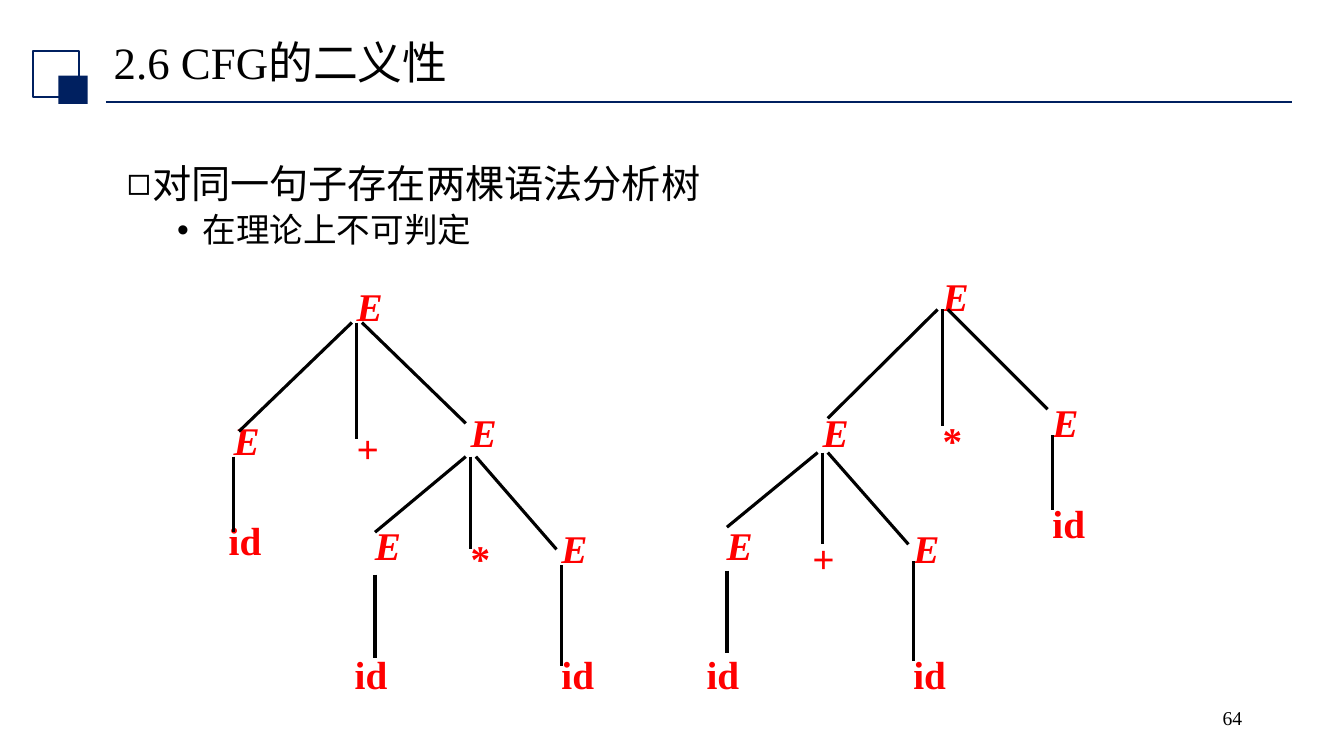
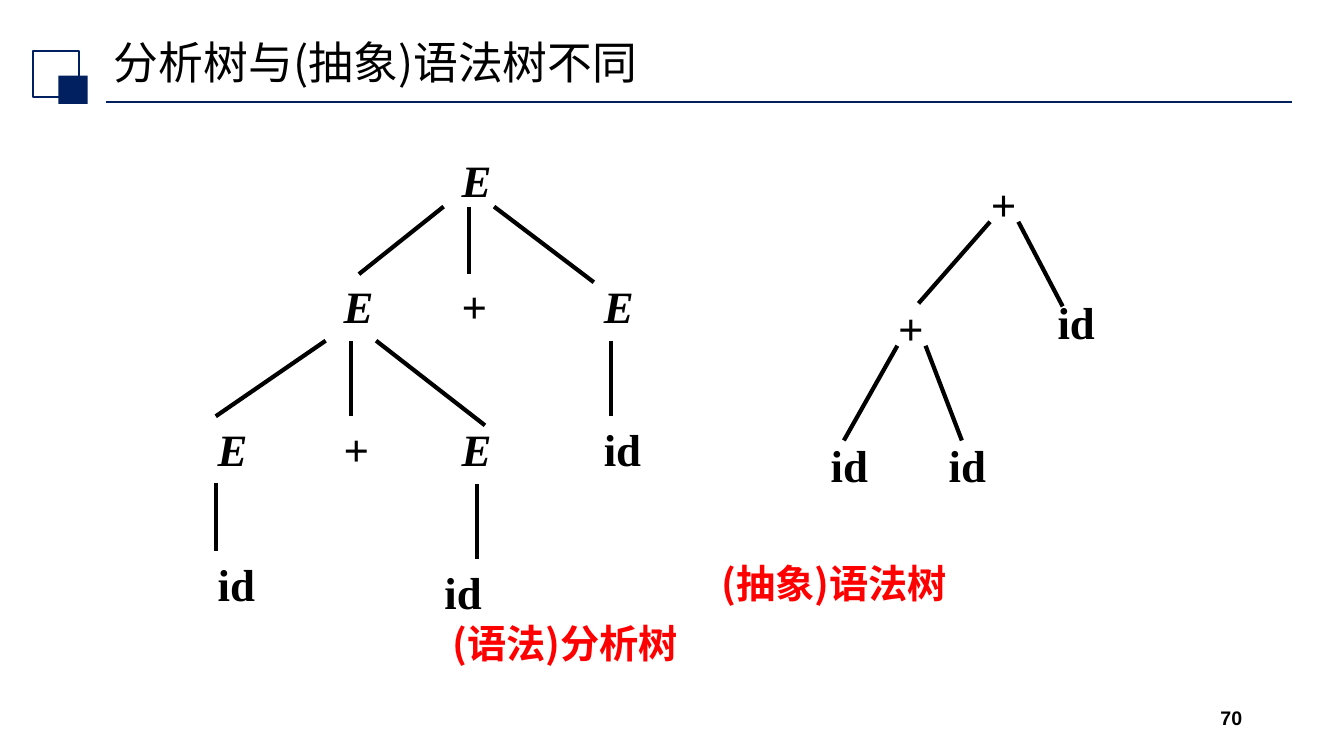
import pptx
import pptx.util
import pptx.dml.color
import pptx.enum.shapes
import pptx.enum.text
import pptx.oxml.ns
from lxml import etree

Inches, Pt = pptx.util.Inches, pptx.util.Pt
qn = pptx.oxml.ns.qn
ALIGN = pptx.enum.text.PP_ALIGN
ANCHOR = pptx.enum.text.MSO_ANCHOR
SHAPE = pptx.enum.shapes.MSO_SHAPE
STRAIGHT = pptx.enum.shapes.MSO_CONNECTOR.STRAIGHT

COLORS = {"navy": "002060", "red": "FF0000", "black": "000000"}
SERIF, SANS, HAN = "Times New Roman", "Arial", "Noto Sans CJK SC"


def node(text, dx, dy, *kids, shift=0, into=0, out=0):
    """Place a node from its parent; shift, into and out adjust its lines."""
    return {"text": text, "dx": dx, "dy": dy, "kids": kids,
            "shift": shift, "into": into, "out": out}


def product(sign, dx, slip=0):
    """Build the lower E with two operands, used by both readings."""
    return node("E", dx, 1.25,
                node("E", -0.95, 1.13, node("id", -0.2, 1.28, into=-0.08),
                     shift=-0.05, into=-0.05, out=0.12),
                node(sign, slip, 1.25),
                node("E", 0.9, 1.16, node("id", 0, 1.25), into=0.09),
                out=0.08)


PLUS_TOP = node("E", 3.44, 2.7,
                node("E", -1.22, 1.33, node("id", -0.05, 1)),
                node("+", 0, 1.41),
                product("*", 1.13))
TIMES_TOP = node("E", 9.25, 2.61,
                 {**product("+", -1.19, -0.1), "dy": 1.34},
                 node("*", 0, 1.42),
                 node("E", 1.09, 1.25, node("id", 0, 1)))
PARSE = node("E", 4.48, 1.47,
             node("E", -1.17, 1.25,
                  node("E", -1.25, 1.41, node("id", 0, 1.34, shift=-0.09),
                       shift=-0.09),
                  node("+", 0, 1.41),
                  node("E", 1.17, 1.41, node("id", -0.17, 1.42, shift=0.08),
                       shift=0.16, into=0.09),
                  shift=0.08),
             node("+", 0, 1.25),
             node("E", 1.41, 1.25, node("id", 0, 1.41),
                  shift=-0.17, into=0.08),
             out=-0.08)
SYNTAX = node("+", 9.73, 1.7,
              node("+", -0.92, 1.23,
                   node("id", -0.67, 1.36), node("id", 0.5, 1.36),
                   shift=0.07),
              node("id", 0.66, 1.17, shift=-0.08, into=0.09))

# Per tree: line start and end inside a box, and the spread of the lines.
TIGHT = {"mid": 0.1, "out": 0.5, "into": 0.25, "gap": 0.05, "close": 0.05,
         "width": 0.77}
SLIDES = [
    {
        "title": "2.6 CFG的二义性", "font": SERIF,
        "page": ("64", {"font": SERIF}),
        "points": [("对同一句子存在两棵语法分析树", "◻", 28, 0.25, 0),
                   ("在理论上不可判定", "•", 24, 0.75, 5)],
        "style": {"size": 28, "color": "red", "spacing": 1.1},
        "high": 0.58, "weight": 2.25,
        "trees": [(PLUS_TOP, TIGHT),
                  (TIMES_TOP, {**TIGHT, "out": 0.46, "into": 0.2})],
        "labels": [],
    },
    {
        "title": "分析树与(抽象)语法树不同", "font": HAN,
        "page": ("70", {"font": SANS, "bold": True}),
        "points": [],
        "style": {"size": 32},
        "high": 0.67, "weight": 3,
        "trees": [(PARSE, {"mid": 0.17, "out": 0.66, "into": 0, "gap": 0.25,
                           "close": 0, "width": 0.5}),
                  (SYNTAX, {"mid": 0.23, "out": 0.5, "into": 0.08,
                            "gap": 0.14, "close": 0, "width": 1.25})],
        "labels": [("(语法)分析树", 4.39, 6.05, 2.67),
                   ("(抽象)语法树", 7.06, 5.45, 3.08)],
    },
]


def rgb(name):
    return pptx.dml.color.RGBColor.from_string(COLORS[name])


def add_box(slide, left, top, width, height, anchor=ANCHOR.TOP):
    box = slide.shapes.add_textbox(*map(Inches, (left, top, width, height)))
    box.text_frame.word_wrap = True
    box.text_frame.vertical_anchor = anchor
    return box


def write(para, text, size=28, font=SERIF, color="black", bold=False,
          italic=False, align=None, spacing=None, before=0):
    para.alignment = align
    para.line_spacing = spacing
    para.space_before = Pt(before)
    run = para.add_run()
    run.text = text
    run.font.size = Pt(size)
    run.font.name = font
    run.font.bold = bold
    run.font.italic = italic
    run.font.color.rgb = rgb(color)
    etree.SubElement(run.font._element, qn("a:ea")).set("typeface", HAN)


def add_bullet(para, char, margin):
    """Hang a bullet a quarter inch left of the margin."""
    props = para._p.get_or_add_pPr()
    props.set("marL", str(Inches(margin)))
    props.set("indent", str(Inches(-0.25)))
    etree.SubElement(props, qn("a:buFont")).set("typeface", SANS)
    etree.SubElement(props, qn("a:buChar")).set("char", char)


def add_line(slide, ends, color, weight):
    line = slide.shapes.add_connector(STRAIGHT, *map(Inches, ends))
    line.line.color.rgb = rgb(color)
    line.line.width = Pt(weight)
    etree.SubElement(line._element.spPr, qn("a:effectLst"))
    return line


def add_square(slide, left, top, width, height, filled):
    square = slide.shapes.add_shape(
        SHAPE.RECTANGLE, *map(Inches, (left, top, width, height)))
    square.shadow.inherit = False
    if filled:
        square.fill.solid()
        square.fill.fore_color.rgb = rgb("navy")
        square.line.fill.background()
    else:
        square.fill.background()
        square.line.color.rgb = rgb("navy")
        square.line.width = Pt(1.5)


def add_frame(slide, data):
    """Draw the rule, squares, title and page number all slides share."""
    add_line(slide, (1.05, 1.01, 12.81, 1.01), "navy", 1.25)
    add_square(slide, 0.33, 0.51, 0.45, 0.45, False)
    add_square(slide, 0.58, 0.75, 0.29, 0.28, True)
    title = add_box(slide, 1.03, 0.34, 11.5, 0.61, ANCHOR.MIDDLE)
    write(title.text_frame.paragraphs[0], data["title"], size=32,
          font=data["font"], spacing=0.9)
    number, style = data["page"]
    page = add_box(slide, 9.42, 6.95, 3, 0.4)
    write(page.text_frame.paragraphs[0], number, size=14,
          align=ALIGN.RIGHT, **style)


def add_points(slide, points):
    frame = add_box(slide, 1.16, 1.58, 10.7, 4.51).text_frame
    for i, (text, char, size, margin, before) in enumerate(points):
        para = frame.add_paragraph() if i else frame.paragraphs[0]
        write(para, text, size=size, align=ALIGN.JUSTIFY, spacing=0.9,
              before=before)
        add_bullet(para, char, margin)


def find_site(box, x, y):
    """Return the side of the box whose middle lies at the point, if any."""
    near = Inches(0.02)
    if abs(box.left + box.width / 2 - Inches(x)) < near:
        for site, edge in ((0, box.top), (2, box.top + box.height)):
            if abs(edge - Inches(y)) < near:
                return site
    return None


def add_tree(slide, item, rule, data, left=0, top=0):
    """Draw a node and all below it; return the node's box."""
    x, y = left + item["dx"], top + item["dy"]
    width = max(rule["width"], 0.75) if item["text"] == "id" else rule["width"]
    box = add_box(slide, x, y, width, data["high"])
    write(box.text_frame.paragraphs[0], item["text"], bold=True,
          italic=item["text"] == "E", **data["style"])
    last = len(item["kids"]) - 1
    for i, kid in enumerate(item["kids"]):
        below = add_tree(slide, kid, rule, data, x, y)
        side = 2 * i / last - 1 if last else 0
        start = x + rule["mid"] + side * rule["gap"]
        if side:
            end = (x + kid["dx"] + rule["mid"] - side * rule["close"]
                   + kid["shift"])
        else:
            start += kid["shift"]
            end = start
        high = y + rule["out"] + item["out"]
        low = y + kid["dy"] + rule["into"] + kid["into"]
        line = add_line(slide, (start, high, end, low),
                        "black", data["weight"])
        site = find_site(box, start, high)
        if site is not None:
            line.begin_connect(box, site)
        site = find_site(below, end, low)
        if site is not None:
            line.end_connect(below, site)
    return box


def main():
    deck = pptx.Presentation()
    deck.slide_width, deck.slide_height = Inches(13.33), Inches(7.5)
    for data in SLIDES:
        slide = deck.slides.add_slide(deck.slide_layouts[6])
        add_frame(slide, data)
        if data["points"]:
            add_points(slide, data["points"])
        for tree, rule in data["trees"]:
            add_tree(slide, tree, rule, data)
        for text, left, top, width in data["labels"]:
            label = add_box(slide, left, top, width, 0.58)
            write(label.text_frame.paragraphs[0], text, font=HAN,
                  color="red", bold=True, spacing=1.1)
    deck.save("out.pptx")


if __name__ == "__main__":
    main()
